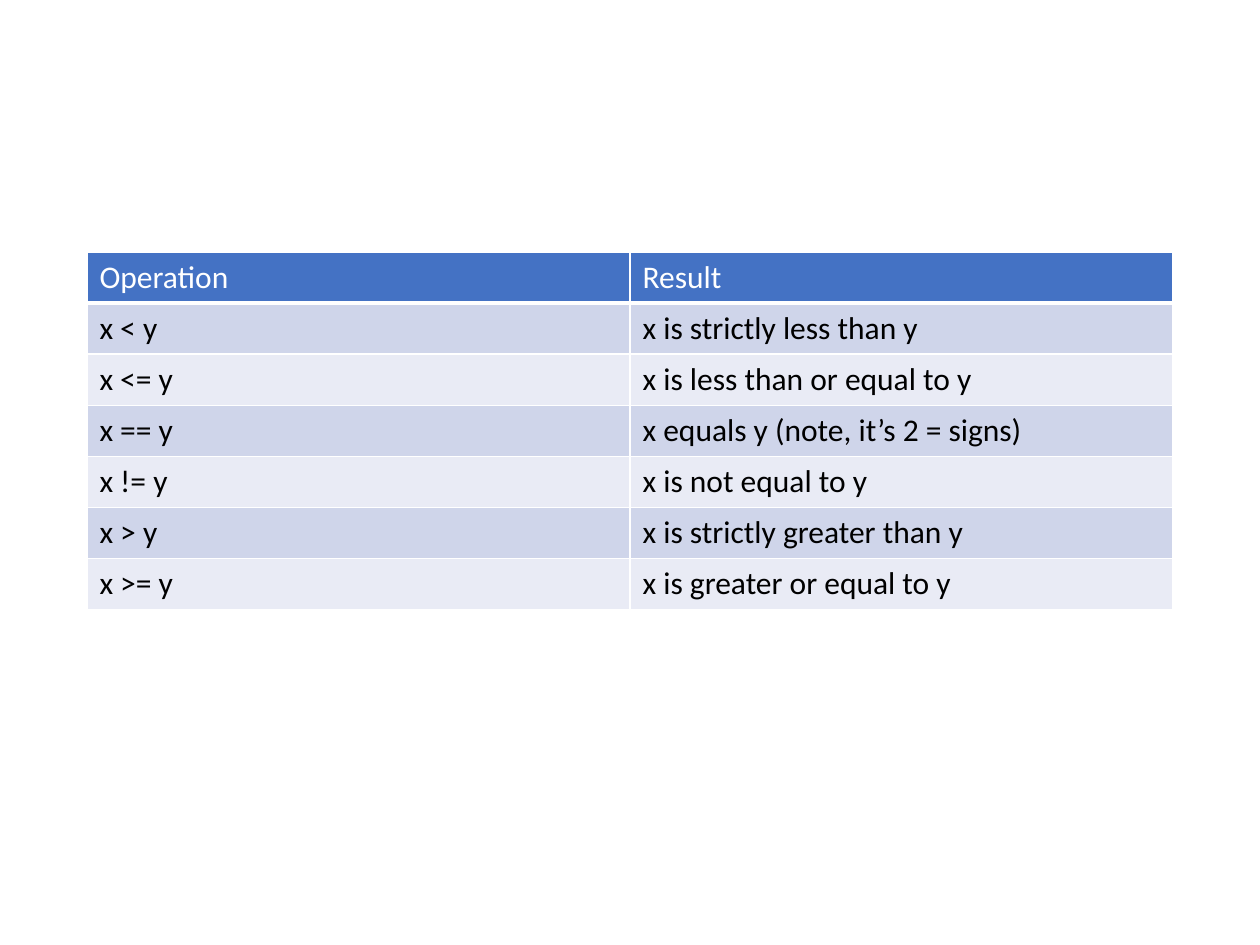
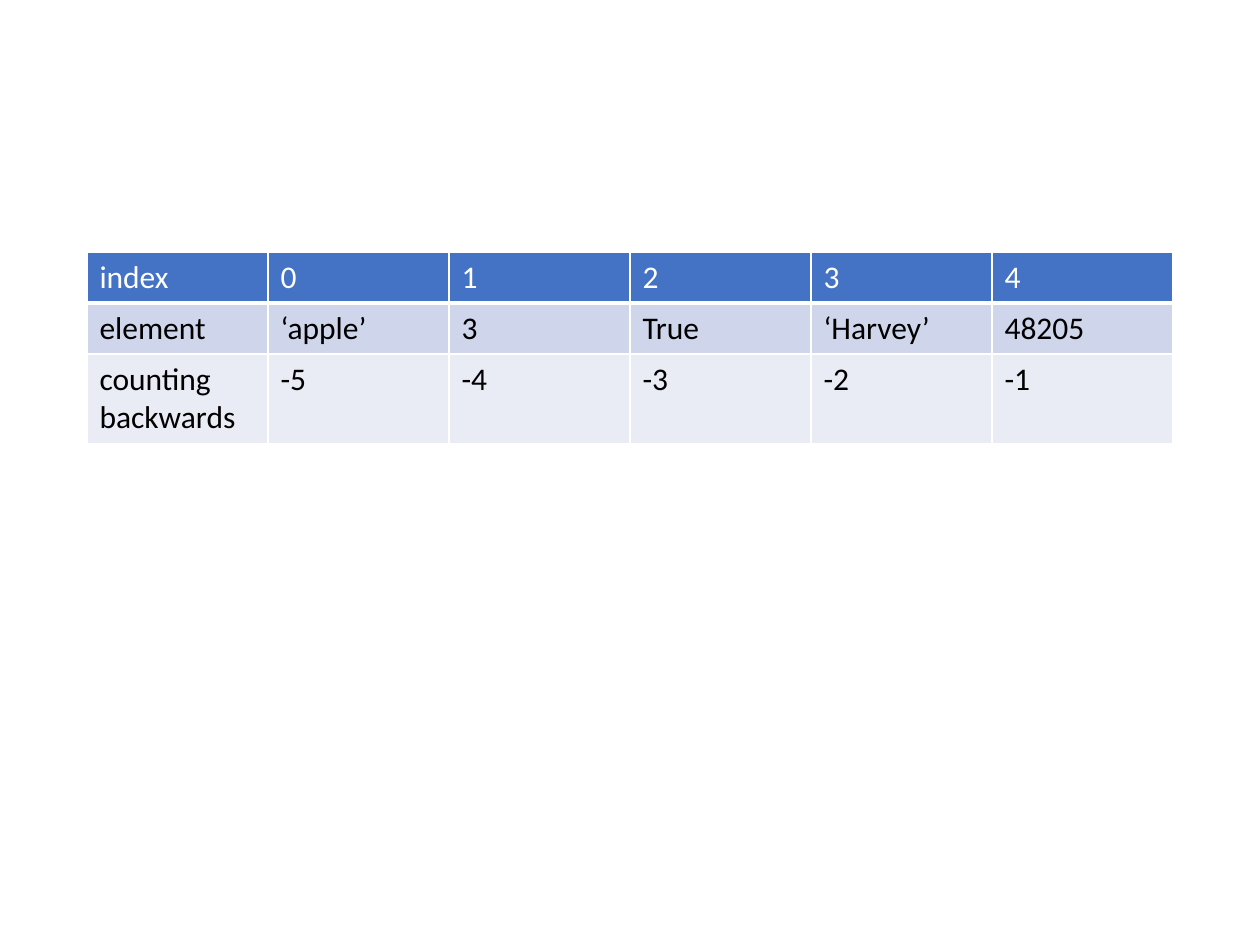
import pptx
import pptx.dml.color
import pptx.oxml
import pptx.oxml.ns
import pptx.util

COLORS = {
    "header": "4472C4",
    "band_dark": "CFD5EA",
    "band_light": "E9EBF5",
    "rule": "FFFFFF",
    "header_text": "FFFFFF",
    "body_text": "000000",
}
SLIDE_WIDTH = pptx.util.Inches(10)
SLIDE_HEIGHT = pptx.util.Inches(7.5)
COLUMN = SLIDE_WIDTH / 29
ROW = SLIDE_HEIGHT / 15
TABLE_BOX = (2 * COLUMN, 4 * ROW, 25 * COLUMN)
LINE_HEIGHT = 0.8 * ROW

FONT_FORMAT = {"name": "Calibri", "size": pptx.util.Pt(18), "bold": False}
CELL_FORMAT = {
    "margin_left": pptx.util.Inches(0.1),
    "margin_right": pptx.util.Inches(0.1),
    "margin_top": pptx.util.Inches(0.05),
    "margin_bottom": pptx.util.Inches(0.05),
}
TABLE_FORMAT = {"first_row": False, "horz_banding": False}

COMPARISONS = [
    ("Operation", "Result"),
    ("x < y", "x is strictly less than y"),
    ("x <= y", "x is less than or equal to y"),
    ("x == y", "x equals y (note, it’s 2 = signs)"),
    ("x != y", "x is not equal to y"),
    ("x > y", "x is strictly greater than y"),
    ("x >= y", "x is greater or equal to y"),
]
LIST_INDEXES = [
    ("index", "0", "1", "2", "3", "4"),
    ("element", "‘apple’", "3", "True", "‘Harvey’", "48205"),
    ("counting backwards", "-5", "-4", "-3", "-2", "-1"),
]


def apply_format(target, values):
    for name, value in values.items():
        setattr(target, name, value)


def rgb(name):
    return pptx.dml.color.RGBColor.from_string(COLORS[name])


def draw_borders(cell, bottom_points):
    properties = cell._tc.get_or_add_tcPr()
    widths = {"lnL": 1, "lnR": 1, "lnT": 1, "lnB": bottom_points}
    for position, (side, points) in enumerate(widths.items()):
        border = pptx.oxml.parse_xml(
            f'<a:{side} {pptx.oxml.ns.nsdecls("a")} w="{pptx.util.Pt(points)}">'
            f'<a:solidFill><a:srgbClr val="{COLORS["rule"]}"/></a:solidFill>'
            f"</a:{side}>"
        )
        properties.insert(position, border)


def fill_cell(cell, text, row_number):
    is_header = row_number == 0
    band = "band_dark" if row_number % 2 else "band_light"
    apply_format(cell, CELL_FORMAT)
    cell.fill.solid()
    cell.fill.fore_color.rgb = rgb("header" if is_header else band)
    draw_borders(cell, 3 if is_header else 1)
    span = cell.text_frame.paragraphs[0].add_run()
    span.text = text
    apply_format(span.font, FONT_FORMAT)
    span.font.color.rgb = rgb("header_text" if is_header else "body_text")


def add_table_page(deck, box, rows):
    page = deck.slides.add_slide(deck.slide_layouts[6])
    left, top, width = map(round, box)
    height = round(len(rows) * LINE_HEIGHT)
    frame = page.shapes.add_table(len(rows), len(rows[0]), left, top, width, height)
    table = frame.table
    apply_format(table, TABLE_FORMAT)
    for row_number, texts in enumerate(rows):
        for column_number, text in enumerate(texts):
            fill_cell(table.cell(row_number, column_number), text, row_number)


def main():
    deck = pptx.Presentation()
    apply_format(deck, {"slide_width": SLIDE_WIDTH, "slide_height": SLIDE_HEIGHT})
    for rows in (COMPARISONS, LIST_INDEXES):
        add_table_page(deck, TABLE_BOX, rows)
    deck.save("out.pptx")


if __name__ == "__main__":
    main()
